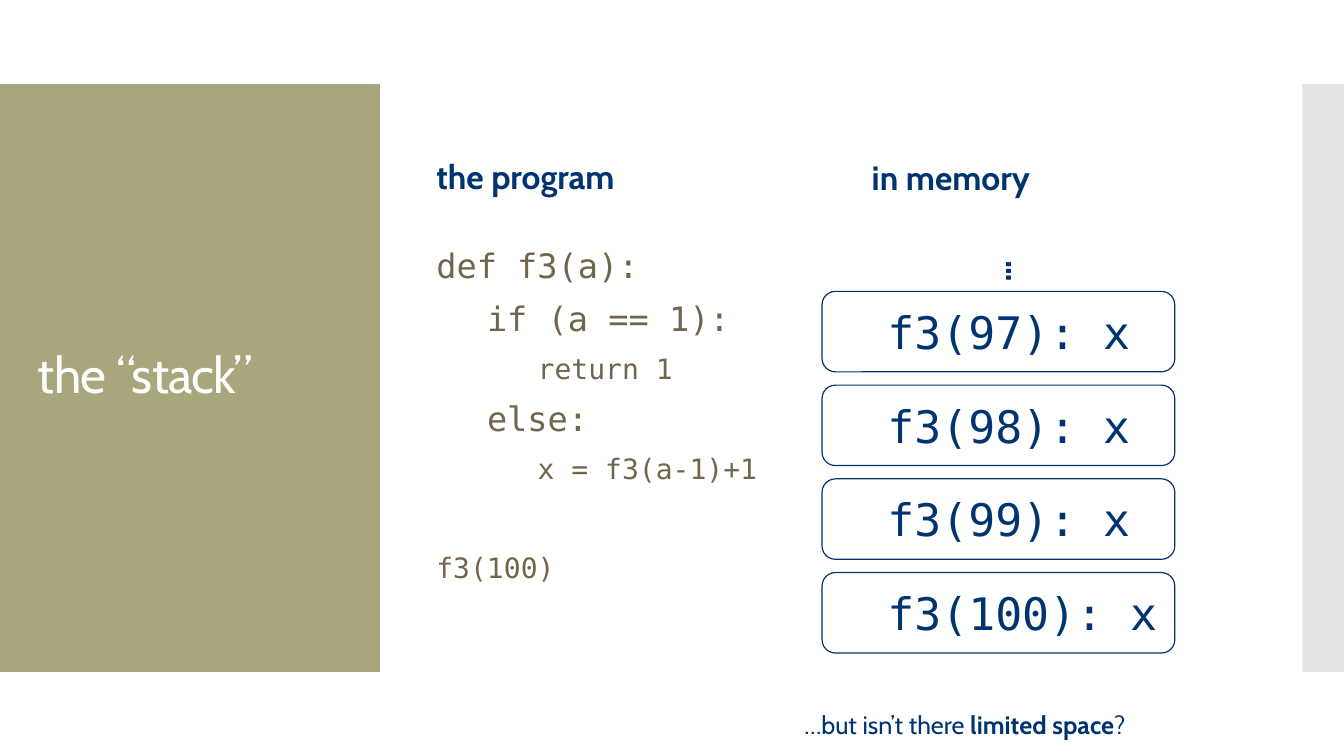
from dataclasses import dataclass

from lxml import etree
from pptx import Presentation
from pptx import util as u
from pptx.dml.color import RGBColor
from pptx.enum import shapes, text
from pptx.oxml.ns import qn

Pt = u.Pt
COLORS = {"navy": "003470", "olive": "A9A57C", "code": "6F664C",
          "gray": "C8C8C8", "white": "FFFFFF"}
SANS, MONO = "Cabin", "DejaVu Sans Mono"
INDENT, INDENT_SIZE = "   ", 20


@dataclass(frozen=True)
class Box:
    left: float
    top: float
    width: float
    height: float

    def lengths(self) -> tuple:
        return tuple(Pt(v) for v in (self.left, self.top, self.width, self.height))


@dataclass(frozen=True)
class Style:
    size: float
    color: str
    font: str = SANS
    bold: bool = False


@dataclass(frozen=True)
class Label:
    words: str
    box: Box
    style: Style
    anchor: text.MSO_ANCHOR


@dataclass(frozen=True)
class CodeLine:
    level: int
    code: str
    size: float
    space_before: float = 12


def add_run(paragraph, words: str, style: Style):
    run = paragraph.add_run()
    run.text = words
    run.font.size = Pt(style.size)
    run.font.name = style.font
    run.font.bold = style.bold
    run.font.color.rgb = RGBColor.from_string(COLORS[style.color])
    return run


def add_frame(slide, box: Box, anchor=text.MSO_ANCHOR.TOP, wrap: bool = True):
    """Add a text box and return the shape."""
    shape = slide.shapes.add_textbox(*box.lengths())
    shape.text_frame.word_wrap = wrap
    shape.text_frame.vertical_anchor = anchor
    return shape


def add_label(slide, label: Label):
    paragraph = add_frame(slide, label.box, label.anchor).text_frame.paragraphs[0]
    paragraph.line_spacing = 0.9
    return add_run(paragraph, label.words, label.style)


def add_panel(slide, box: Box, color: str):
    panel = slide.shapes.add_shape(shapes.MSO_SHAPE.RECTANGLE, *box.lengths())
    panel.shadow.inherit = False
    panel.fill.solid()
    panel.fill.fore_color.rgb = RGBColor.from_string(COLORS[color])
    panel.line.fill.background()
    return panel


def add_code(slide, box: Box, lines: list[CodeLine]) -> None:
    frame = add_frame(slide, box, text.MSO_ANCHOR.MIDDLE).text_frame
    frame.margin_top, frame.margin_bottom = Pt(15.6), Pt(40.7)
    for i, line in enumerate(lines):
        paragraph = frame.add_paragraph() if i else frame.paragraphs[0]
        paragraph.line_spacing = 0.9
        if i:
            paragraph.space_before = Pt(line.space_before)
        if line.level:
            add_run(paragraph, INDENT * line.level, Style(INDENT_SIZE, "code", MONO))
        add_run(paragraph, line.code, Style(line.size, "code", MONO))


def add_call(slide, box: Box, argument: int) -> None:
    """Add one stack frame holding its own x."""
    call = slide.shapes.add_shape(shapes.MSO_SHAPE.ROUNDED_RECTANGLE, *box.lengths())
    call.shadow.inherit = False
    call.fill.background()
    call.line.color.rgb = RGBColor.from_string(COLORS["navy"])
    call.line.width = Pt(0.85)
    frame = call.text_frame
    frame.margin_left = Pt(43.9)
    frame.vertical_anchor = text.MSO_ANCHOR.MIDDLE
    frame.paragraphs[0].alignment = text.PP_ALIGN.LEFT
    add_run(frame.paragraphs[0], f"f3({argument}): x", Style(32, "navy", MONO))


def main() -> None:
    deck = Presentation()
    deck.slide_width, deck.slide_height = Pt(960), Pt(540)
    slide = deck.slides.add_slide(deck.slide_layouts[6])

    add_panel(slide, Box(0, 60, 271.3, 420), "olive")
    edge = add_panel(slide, Box(930.3, 60, 29.7, 420), "gray")
    edge_color = edge.fill._xPr.find(qn("a:solidFill"))[0]
    etree.SubElement(edge_color, qn("a:alpha")).set("val", "50000")

    title = add_label(slide, Label("the “stack”", Box(20, 88.6, 232, 362),
                                   Style(36, "white"), text.MSO_ANCHOR.MIDDLE))
    title.font._element.set("spc", "-60")

    heading = Style(24, "navy", bold=True)
    for words, left, height in (("the program", 304.6, 63.4), ("in memory", 615.6, 64)):
        add_label(slide, Label(words, Box(left, 80.6, 273.6, height),
                               heading, text.MSO_ANCHOR.BOTTOM))

    add_code(slide, Box(304.6, 151.9, 273.6, 316.8), [
        CodeLine(0, "def f3(a):", 24),
        CodeLine(1, "if (a == 1):", 24),
        CodeLine(2, "return 1", 20),
        CodeLine(1, "else:", 24),
        CodeLine(2, "x = f3(a-1)+1", 20),
        CodeLine(0, "f3(100)", 20, space_before=49.1),
    ])

    for i, argument in enumerate(range(100, 96, -1)):
        add_call(slide, Box(587.2, 409 - 66.95 * i, 252, 57.5), argument)

    earlier_calls = add_frame(slide, Box(698.4, 175.7, 28.8, 36), wrap=False)
    earlier_calls.rotation = 270
    add_run(earlier_calls.text_frame.paragraphs[0], "…", Style(24, "navy", MONO))

    question = add_frame(slide, Box(567.4, 503.3, 248.4, 28.8), wrap=False)
    for words, bold in (("…but isn’t there ", False), ("limited space", True), ("?", False)):
        add_run(question.text_frame.paragraphs[0], words, Style(18, "navy", bold=bold))

    deck.save("out.pptx")


if __name__ == "__main__":
    main()
